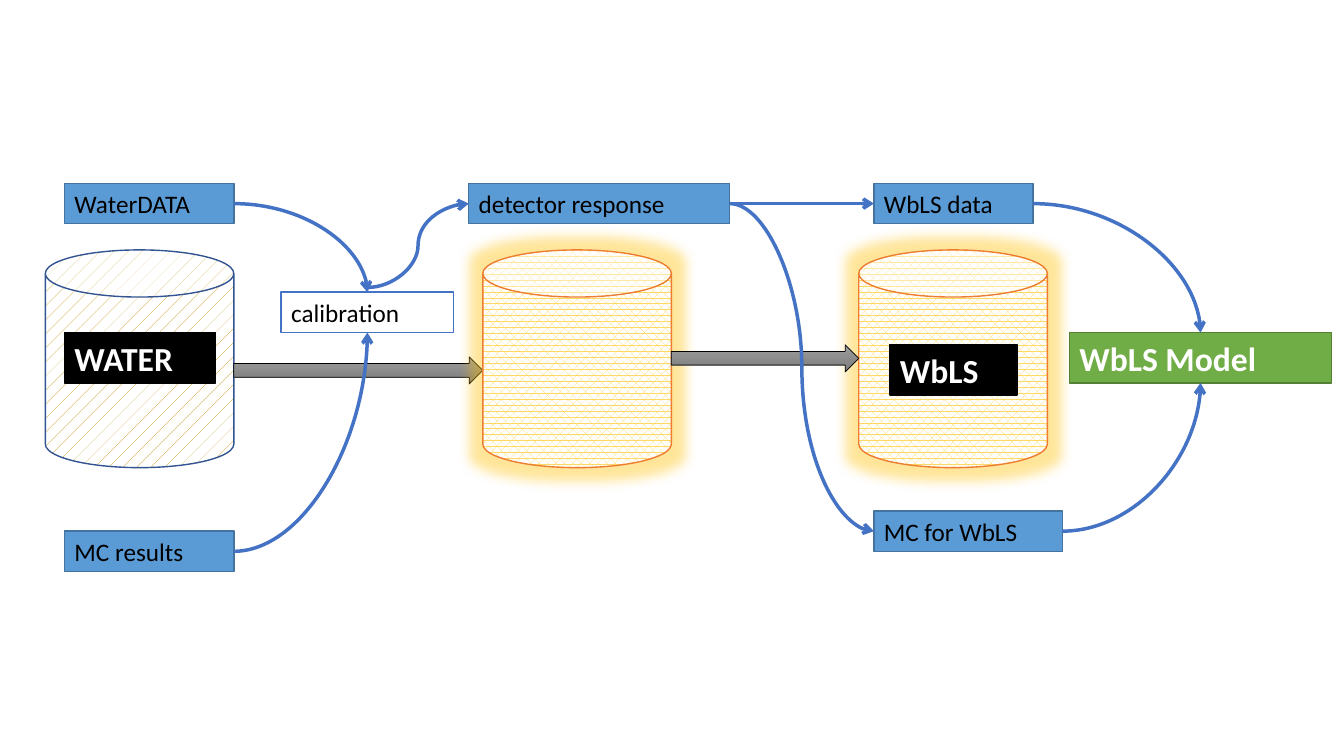
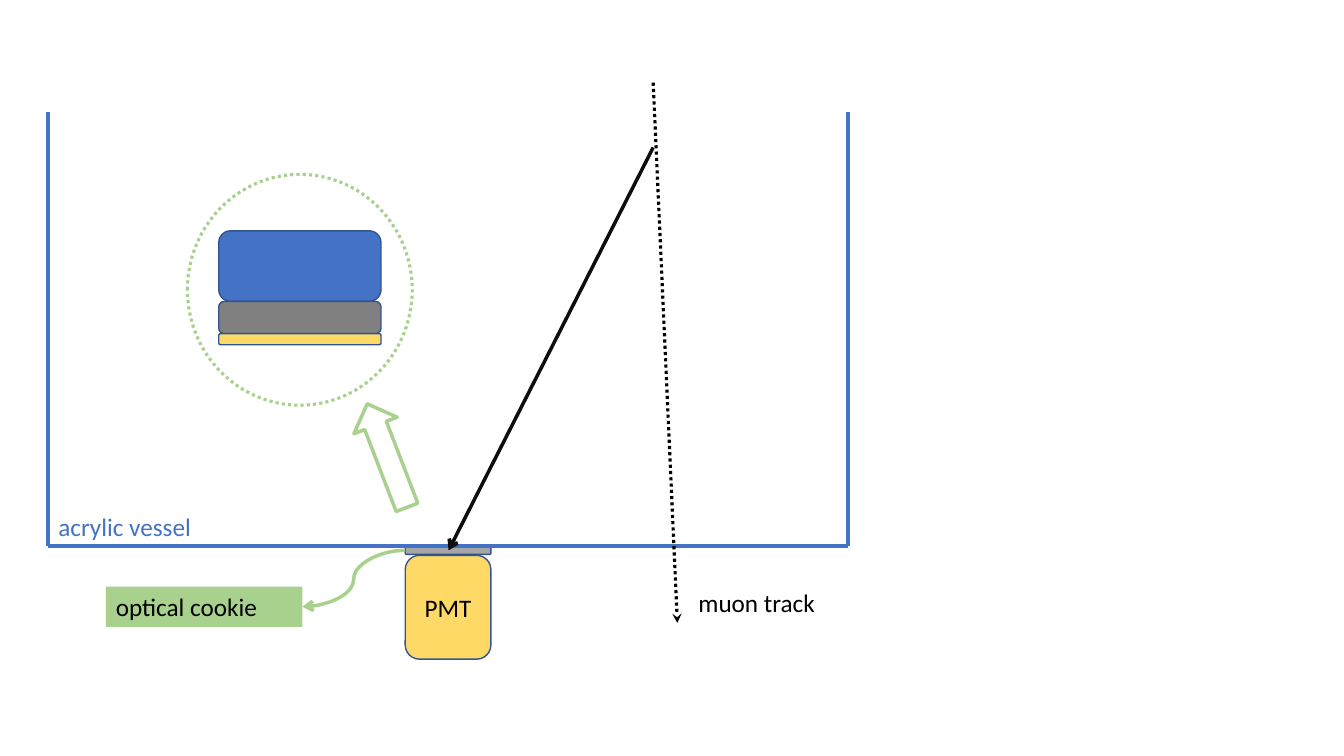
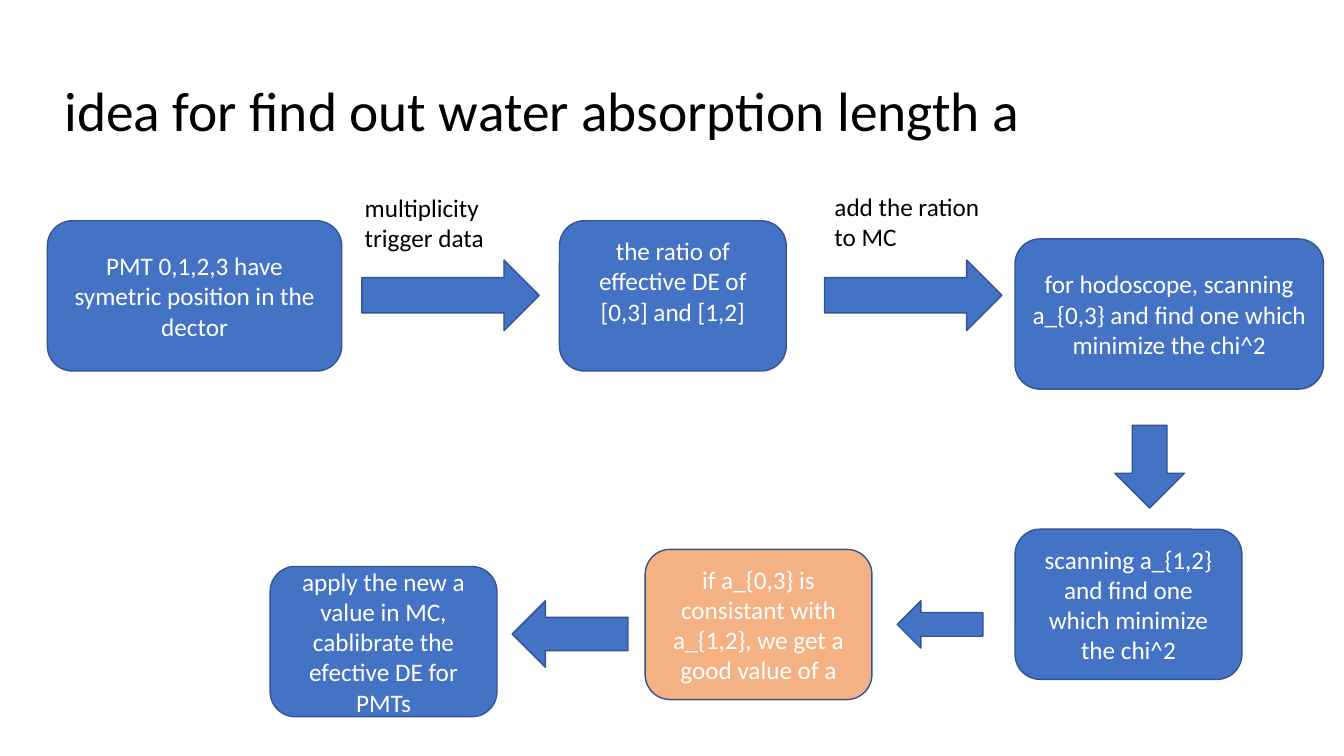
from typing import NamedTuple

from lxml.etree import SubElement
from pptx import Presentation
from pptx.dml.color import RGBColor
from pptx.enum.dml import MSO_LINE, MSO_PATTERN
from pptx.enum.shapes import MSO_CONNECTOR, MSO_SHAPE
from pptx.enum.text import MSO_ANCHOR, PP_ALIGN
from pptx.oxml.ns import qn
from pptx.util import Inches, Pt

FONT = "Calibri"
COLORS = {
    "black": "000000", "ink": "0D0D0D", "white": "FFFFFF",
    "blue": "4472C4", "navy": "325491", "sky": "5B9BD5", "steel": "43739E",
    "orange": "ED7D31", "peach": "F4B183", "yellow": "FFD966",
    "gold": "FFC000", "bronze": "BF9000",
    "green": "70AD47", "forest": "538035", "lime": "A9D18E",
    "silver": "A6A6A6", "gray": "808080",
    "arrow_top": "9D9D9D", "arrow_bottom": "7C7C7C",
}
CELL = 0.1  # side of a grid cell in inches
COLS, ROWS = 133.33, 75


def rgb(name):
    return RGBColor.from_string(COLORS[name])


def cells(n):
    return Inches(n * CELL)


class Box(NamedTuple):
    """Left, top, width and height in grid cells."""
    x: float
    y: float
    w: float
    h: float

    def at(self, fx, fy):
        """Point at shares of the box's width and height."""
        return self.x + fx * self.w, self.y + fy * self.h

    def inner(self, dx, dy, w, h):
        """Box offset in cells from this one's corner."""
        return Box(self.x + dx, self.y + dy, w, h)

    def emu(self):
        return [cells(n) for n in self]

    @property
    def left(self):
        return self.at(0, 0.5)

    @property
    def right(self):
        return self.at(1, 0.5)

    @property
    def top(self):
        return self.at(0.5, 0)

    @property
    def bottom(self):
        return self.at(0.5, 1)


def write(shape, text, size=18, color="black", bold=False, align=PP_ALIGN.LEFT,
          anchor=MSO_ANCHOR.TOP, spacing=None, lift=0):
    """Set the text; lift adds cells of bottom margin."""
    tf = shape.text_frame
    tf.word_wrap = True
    tf.vertical_anchor = anchor
    tf.margin_bottom = Inches(0.05) + cells(lift)
    p = tf.paragraphs[0]
    p.alignment = align
    if spacing:
        p.line_spacing = spacing
    r = p.add_run()
    r.text = text
    r.font.name, r.font.size, r.font.bold = FONT, Pt(size), bold
    r.font.color.rgb = rgb(color)


def textbox(s, box, text, **fmt):
    write(s.shapes.add_textbox(*box.emu()), text, **fmt)


def shape(s, kind, box, fill=None, line="navy", width=1, dash=None):
    sp = s.shapes.add_shape(kind, *box.emu())
    sp.shadow.inherit = False
    if fill:
        sp.fill.solid()
        sp.fill.fore_color.rgb = rgb(fill)
    else:
        sp.fill.background()
    if line:
        sp.line.color.rgb = rgb(line)
        sp.line.width = Pt(width)
        if dash:
            sp.line.dash_style = dash
    else:
        sp.line.fill.background()
    return sp


def label(s, box, text, fill="sky", line="steel", width=1, **fmt):
    write(shape(s, MSO_SHAPE.RECTANGLE, box, fill, line, width), text, **fmt)


def connect(s, start, end, color="blue", width=2.5, bend=0, tail="arrow", dash=None):
    """Draw a line; bend 2 is a quarter curve, bend 3 an S curve."""
    kind = MSO_CONNECTOR.CURVE if bend else MSO_CONNECTOR.STRAIGHT
    c = s.shapes.add_connector(kind, *[cells(n) for n in (*start, *end)])
    c.line.color.rgb = rgb(color)
    c.line.width = Pt(width)
    if dash:
        c.line.dash_style = dash
    pr = c._element.spPr
    if bend:
        pr.find(qn("a:prstGeom")).set("prst", f"curvedConnector{bend}")
    if tail:
        SubElement(pr.find(qn("a:ln")), qn("a:tailEnd"), type=tail)
    SubElement(pr, qn("a:effectLst"))


def tank(s, box, pattern, fore, line, glow=False):
    sp = shape(s, MSO_SHAPE.CAN, box, line=line)
    sp.fill.patterned()
    sp.fill.pattern = pattern
    sp.fill.fore_color.rgb = rgb(fore)
    sp.fill.back_color.rgb = rgb("white")
    if glow:
        effects = sp._element.spPr.find(qn("a:effectLst"))
        halo = SubElement(effects, qn("a:glow"), rad=str(Pt(18)))
        tint = SubElement(halo, qn("a:srgbClr"), val=COLORS["gold"])
        SubElement(tint, qn("a:alpha"), val="40000")


def pipe(s, source, target, dy):
    """Gray arrow between two tanks, dy cells below their top."""
    box = source.inner(source.w, dy, target.x - source.x - source.w, 2.7)
    sp = shape(s, MSO_SHAPE.RIGHT_ARROW, box, line="black", width=0.5)
    sp.fill.gradient()
    sp.fill.gradient_angle = 270
    for stop, name, pos in zip(sp.fill.gradient_stops, ("arrow_top", "arrow_bottom"), (0, 1)):
        stop.color.rgb = rgb(name)
        stop.position = pos


def tanks(s, box):
    water, mixing, wbls = [box.inner(dx, 0, 18.7, box.h) for dx in (0, 43.4, 80.7)]
    scintillator = dict(pattern=MSO_PATTERN.PERCENT_60, fore="yellow", line="orange", glow=True)
    tank(s, wbls, **scintillator)
    tank(s, water, MSO_PATTERN.PERCENT_5, "bronze", "navy")
    pipe(s, water, mixing, 10.6)
    tank(s, mixing, **scintillator)
    pipe(s, mixing, wbls, 9.4)
    for name, spot in (("WATER", water.inner(1.9, 8.2, 15, 5)),
                       ("WbLS", wbls.inner(3.1, 9.4, 12.6, 5))):
        label(s, spot, name, "black", "black", size=24, color="white", bold=True)


def analysis_flow(s, box):
    data = box.inner(0, 0, 16.8, 4)
    mc = box.inner(0, 34.5, 16.8, 4)
    calibration = box.inner(21.5, 10.8, 17.1, 4)
    response = box.inner(40.1, 0, 25.9, 4)
    wbls_data = box.inner(80.3, 0, 15.8, 4)
    wbls_mc = box.inner(80.3, 32.5, 18.7, 4)
    model = box.inner(99.7, 14.8, 26, 5)
    for spot, text in ((data, "WaterDATA"), (mc, "MC results"),
                       (response, "detector response"),
                       (wbls_data, "WbLS data"), (wbls_mc, "MC for WbLS")):
        label(s, spot, text)
    label(s, calibration, "calibration", None, "blue", 1.25)
    label(s, model, "WbLS Model", "green", "forest", size=24, color="white", bold=True)
    for start, end, bend in (
            (mc.right, calibration.bottom, 2),
            (data.right, calibration.top, 2),
            (calibration.at(0.5, -0.12), response.left, 3),
            (response.right, wbls_data.left, 0),
            (response.right, wbls_mc.left, 3),
            (wbls_data.right, model.top, 2),
            (wbls_mc.right, model.bottom, 2)):
        connect(s, start, end, bend=bend)


def vessel(s, box):
    corners = [box.at(*f) for f in ((0, 0), (0, 1), (1, 1), (1, 0))]
    for start, end in zip(corners, corners[1:]):
        connect(s, start, end, width=3, tail=None)
    textbox(s, box.inner(0, box.h - 4, 20.2, 4), "acrylic vessel", color="blue")


def cookie_detail(s, box):
    """Dotted circle around the enlarged layers."""
    shape(s, MSO_SHAPE.OVAL, box, None, "lime", 2.25, MSO_LINE.ROUND_DOT)
    dy = 5.6
    for h, fill in ((7, "blue"), (3.2, "gray"), (1.1, "yellow")):
        shape(s, MSO_SHAPE.ROUNDED_RECTANGLE, box.inner(3.1, dy, 16.1, h), fill)
        dy += h
    zoom = shape(s, MSO_SHAPE.LEFT_ARROW, box.inner(14.3, 25.6, 11, 4.6), None, "lime", 2.5)
    zoom.rotation = 69


def pmt(s, box):
    cookie = box.inner(0, 0, box.w, 0.8)
    shape(s, MSO_SHAPE.ROUNDED_RECTANGLE, cookie, "silver")
    body = shape(s, MSO_SHAPE.ROUNDED_RECTANGLE, box.inner(0, 0.9, box.w, box.h - 0.9), "yellow")
    write(body, "PMT", align=PP_ALIGN.CENTER, anchor=MSO_ANCHOR.MIDDLE)
    note = box.inner(-29.7, 4, 19.5, 4)
    label(s, note, "optical cookie", "lime", None)
    connect(s, cookie.left, note.right, "lime", bend=3)


def tracks(s, box):
    """Muon track across the box and the light it sends to the PMT."""
    connect(s, box.at(0, 0), box.at(1, 1), "black", 2.25, tail="stealth", dash=MSO_LINE.ROUND_DOT)
    connect(s, box.at(0, 0.12), (box.x - 20.3, box.y + 46.4), "ink")
    textbox(s, box.inner(3.5, 49.6, 20.2, 4), "muon track")


def title(s, text):
    textbox(s, Box(5.4, 4, 0.92 * COLS, 14.5), text, size=39.6,
            anchor=MSO_ANCHOR.MIDDLE, spacing=0.9)


def steps(s, box):
    """Rounded process steps, each with its offset, width and fill."""
    for text, dx, dy, w, fill, lift in (
            ("PMT 0,1,2,3 have symetric position in the dector", 0, 0, 29.2, "blue", 0),
            ("the ratio of effective DE of [0,3] and [1,2]", 50.8, 0, 22.5, "blue", 3),
            ("for hodoscope, scanning a_{0,3} and find one which minimize the chi^2",
             96, 1.8, 30.6, "blue", 0),
            ("scanning a_{1,2} and find one which minimize the chi^2",
             96, 30.6, 22.5, "blue", 0),
            ("if a_{0,3} is consistant with a_{1,2}, we get a good value of a",
             59.3, 32.6, 22.5, "peach", 0),
            ("apply the new a value in MC, cablibrate the efective DE for PMTs",
             22.1, 34.3, 22.5, "blue", 0)):
        sp = shape(s, MSO_SHAPE.ROUNDED_RECTANGLE, box.inner(dx, dy, w, 14.9), fill)
        write(sp, text, color="white", align=PP_ALIGN.CENTER, anchor=MSO_ANCHOR.MIDDLE, lift=lift)


def step_arrows(s, box):
    for kind, *place in (
            (MSO_SHAPE.RIGHT_ARROW, 31.2, 3.9, 17.6, 7),
            (MSO_SHAPE.RIGHT_ARROW, 77.1, 3.9, 17.6, 7),
            (MSO_SHAPE.DOWN_ARROW, 105.9, 20.3, 6.9, 8.2),
            (MSO_SHAPE.LEFT_ARROW, 84.3, 37.7, 8.5, 4.7),
            (MSO_SHAPE.LEFT_ARROW, 46.1, 37.7, 11.5, 6.6)):
        shape(s, kind, box.inner(*place), "blue")
    textbox(s, box.inner(30.5, -3.3, 17.3, 7.1), "multiplicity trigger data")
    textbox(s, box.inner(77.1, -3.4, 18.9, 7.1), "add the ration to MC")


def analysis_slide(s):
    tanks(s, Box(4.5, 24.8, 99.4, 21.6))
    analysis_flow(s, Box(6.4, 18.2, 125.7, 38.5))


def detector_slide(s):
    pmt(s, Box(40.2, 54.2, 8.5, 11.2))
    vessel(s, Box(4.8, 11.1, 79.3, 43.1))
    tracks(s, Box(64.8, 8.2, 2.4, 53.6))
    cookie_detail(s, Box(18.6, 17.3, 22.3, 22.9))


def method_slide(s):
    title(s, "idea for find out water absorption length a")
    flow = Box(4.7, 21.9, 126.6, 49.2)
    steps(s, flow)
    step_arrows(s, flow)


def main():
    prs = Presentation()
    prs.slide_width, prs.slide_height = cells(COLS), cells(ROWS)
    for build in (analysis_slide, detector_slide, method_slide):
        build(prs.slides.add_slide(prs.slide_layouts[6]))
    prs.save("out.pptx")


if __name__ == "__main__":
    main()
